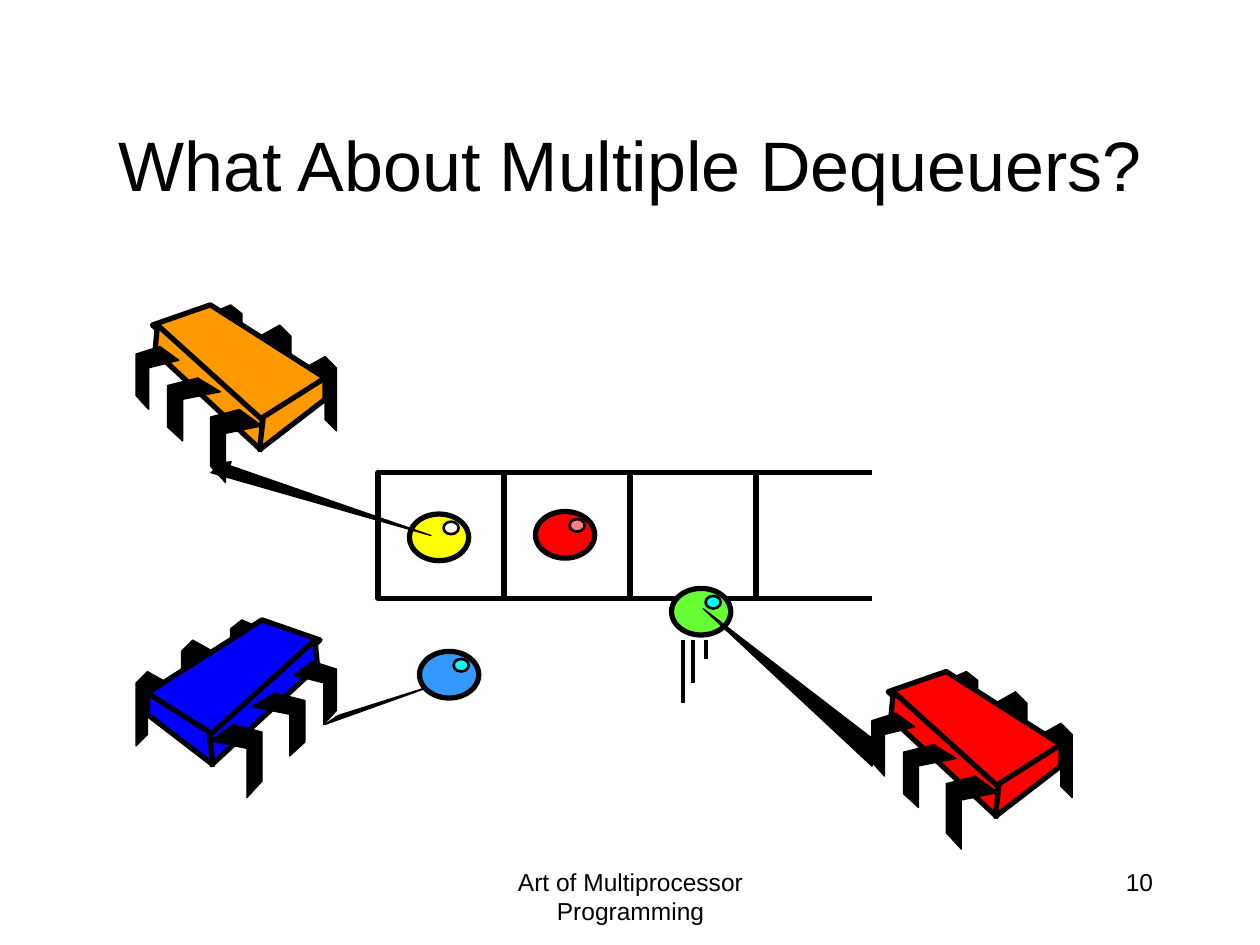
"""Build the slide on multiple dequeuers sharing one queue."""
from lxml.etree import SubElement
from pptx import Presentation
from pptx.dml.color import RGBColor as Rgb
from pptx.enum.shapes import MSO_CONNECTOR as Conn, MSO_SHAPE as Kind
from pptx.enum.text import MSO_ANCHOR as Anchor, PP_ALIGN as Align
from pptx.oxml.ns import qn
from pptx.util import Inches, Pt

HUES = {
    "black": "000000", "white": "FFFFFF", "red": "FF0000", "pink": "FF7C80",
    "green": "66FF33", "cyan": "00FFFF", "sky": "3399FF", "blue": "0000FF",
    "yellow": "FFFF00", "orange": "FF9900",
}

TITLE = ("What About Multiple Dequeuers?", (0.75, 0.67, 8.5, 1.25), 40, Align.CENTER, Anchor.MIDDLE)
FOOT = ("Art of Multiprocessor Programming", (3.42, 6.83, 3.17, 0.5), 14, Align.CENTER, Anchor.TOP)
PAGE = ("10", (7.17, 6.83, 2.08, 0.5), 14, Align.RIGHT, Anchor.TOP)

QUEUE = {"left": 3, "top": 3.75, "cell": 1, "count": 3, "tail": 5.92}
STREAKS = [(5.42, 0.5), (5.5, 0.34), (5.6, 0.15)]

BALLS = {
    "green": (5.33, 4.67, "cyan"),
    "red": (4.25, 4.06, "pink"),
    "sky": (3.33, 5.17, "cyan"),
    "yellow": (3.25, 4.08, "white"),
}

CHIPS = {
    "red": (6.92, 5.33, False),
    "blue": (1.08, 4.92, True),
    "orange": (1.08, 2.42, False),
}
SPAN = 1.59
BACK = [(1.34, 0.5), (1.5, 0.41), (1.59, 0.5), (1.59, 1), (1.5, 0.91), (1.5, 0.58), (1.34, 0.66)]
LEGS = [
    BACK,
    [(x - 0.36, y - 0.25) for x, y in BACK],
    [(0.59, 0.07), (0.75, 0), (0.84, 0.07), (0.84, 0.5), (0.75, 0.43), (0.75, 0.14), (0.59, 0.21)],
]
BODY = [
    [(0.59, 0), (1.5, 0.58), (0.99, 0.93), (0.13, 0.16)],
    [(0.17, 0.16), (1, 0.91), (0.99, 1.15), (0.15, 0.37)],
    [(1.5, 0.58), (1.5, 0.75), (0.98, 1.15), (1.01, 0.89)],
]
FRONT = [
    [(0.82, 0.83), (1, 0.96), (0.71, 1.02), (0.71, 1.41), (0.59, 1.28), (0.59, 0.89)],
    [(0.49, 0.58), (0.67, 0.69), (0.37, 0.75), (0.37, 1.08), (0.25, 0.97), (0.25, 0.64)],
    [(0.19, 0.33), (0.34, 0.44), (0.1, 0.5), (0.1, 0.83), (0, 0.72), (0, 0.39)],
]

ARMS = {
    "red": [(6.92, 6.08), (7, 5.92), (5.58, 4.83)],
    "blue": [(2.58, 5.75), (2.68, 5.68), (3.5, 5.42)],
    "orange": [(1.67, 3.75), (3.42, 4.25), (1.75, 3.67)],
}


def tint(name):
    return Rgb.from_string(HUES[name])


def paint(shape, fill, width):
    shape.shadow.inherit = False
    if fill:
        shape.fill.solid()
        shape.fill.fore_color.rgb = tint(fill)
    else:
        shape.fill.background()
    shape.line.color.rgb = tint("black")
    shape.line.width = Pt(width)
    return shape


def write(shapes, text, box, size, align, anchor):
    frame = shapes.add_textbox(*map(Inches, box)).text_frame
    frame.word_wrap = True
    frame.vertical_anchor = anchor
    para = frame.paragraphs[0]
    para.alignment = align
    run = para.add_run()
    run.text = text
    run.font.name = "Arial"
    run.font.size = Pt(size)
    run.font.color.rgb = tint("black")


def stroke(shapes, start, end, width):
    ends = [Inches(v) for v in (*start, *end)]
    line = shapes.add_connector(Conn.STRAIGHT, *ends)
    line.line.color.rgb = tint("black")
    line.line.width = Pt(width)
    SubElement(line._element.spPr, qn("a:effectLst"))


def trace(shapes, points, fill="black", width=0.75, close=True):
    first, *rest = [(Inches(x), Inches(y)) for x, y in points]
    pen = shapes.build_freeform(*first)
    pen.add_line_segments(rest, close=close)
    return paint(pen.convert_to_shape(), fill, width)


def draw_ball(shapes, hue):
    x, y, shine = BALLS[hue]
    group = shapes.add_group_shape().shapes
    for box, fill, width in (
        ((x, y, 0.47, 0.37), hue, 3),
        ((x + 0.27, y + 0.06, 0.12, 0.1), shine, 1.5),
    ):
        paint(group.add_shape(Kind.OVAL, *map(Inches, box)), fill, width)


def draw_chip(shapes, hue):
    left, top, flip = CHIPS[hue]
    group = shapes.add_group_shape().shapes
    for parts, fill, width in ((LEGS, "black", 0.75), (BODY, hue, 3), (FRONT, "black", 0.75)):
        for part in parts:
            spots = [(left + (SPAN - x if flip else x), top + y) for x, y in part]
            trace(group, spots, fill, width)


def draw_queue(shapes):
    left, top, cell, tail = (QUEUE[k] for k in ("left", "top", "cell", "tail"))
    for i in range(QUEUE["count"]):
        box = (left + i * cell, top, cell, cell)
        paint(shapes.add_shape(Kind.RECTANGLE, *map(Inches, box)), None, 3)
    for y in (top, top + cell):
        stroke(shapes, (tail, y), (tail + cell, y), 3)


def main():
    deck = Presentation()
    deck.slide_width, deck.slide_height = Inches(10), Inches(7.5)
    shapes = deck.slides.add_slide(deck.slide_layouts[6]).shapes

    write(shapes, *PAGE)
    write(shapes, *TITLE)
    draw_queue(shapes)
    draw_ball(shapes, "green")
    draw_ball(shapes, "red")
    draw_chip(shapes, "red")
    trace(shapes, ARMS["red"])
    for x, size in STREAKS:
        stroke(shapes, (x, 5.08), (x, 5.08 + size), 2.25)
    draw_chip(shapes, "blue")
    trace(shapes, ARMS["blue"])
    draw_ball(shapes, "sky")
    draw_ball(shapes, "yellow")
    draw_chip(shapes, "orange")
    arm = trace(shapes, ARMS["orange"], close=False)
    SubElement(arm.line._get_or_add_ln(), qn("a:tailEnd"), type="triangle")
    write(shapes, *FOOT)
    deck.save("out.pptx")


if __name__ == "__main__":
    main()
